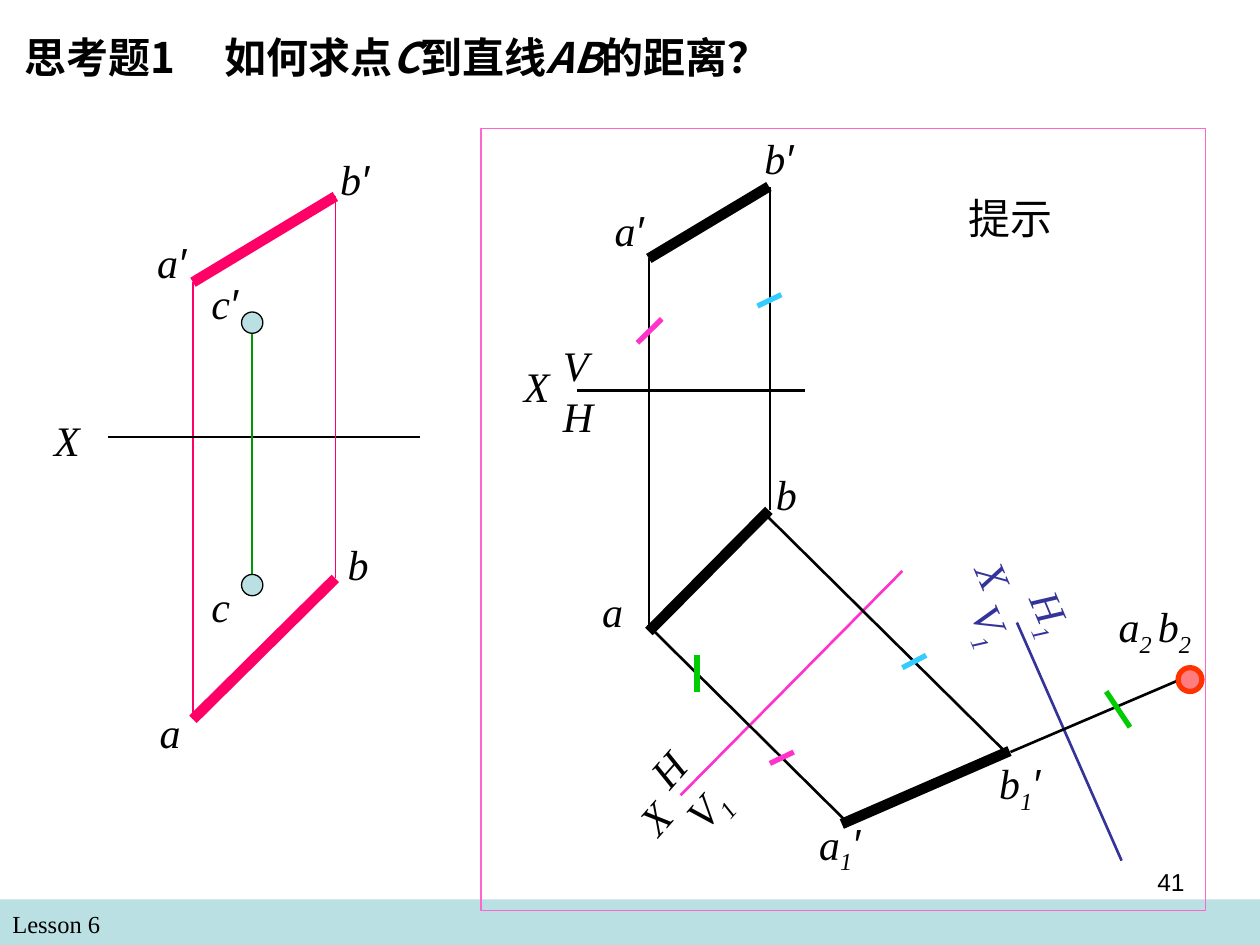
import itertools
from dataclasses import dataclass
from typing import NamedTuple, Optional

import lxml.etree
import pptx
import pptx.dml.color
import pptx.enum.shapes
import pptx.enum.text
import pptx.oxml.ns
import pptx.util

Cm = pptx.util.Cm
Pt = pptx.util.Pt
qn = pptx.oxml.ns.qn
MSO_SHAPE = pptx.enum.shapes.MSO_SHAPE


@dataclass(frozen=True)
class Theme:
    black: str = "000000"
    pale: str = "BBE0E3"
    rose: str = "FF0066"
    leaf: str = "009900"
    green: str = "00CC00"
    magenta: str = "FF33CC"
    sky: str = "33CCFF"
    navy: str = "333399"
    red: str = "FF3300"
    salmon: str = "FF7C80"
    frame: str = "FF66CC"
    serif: str = "Times New Roman"
    sans: str = "Arial"
    heading: str = "Noto Sans CJK SC"
    large: int = 24
    small: int = 14
    hair: float = 0.75
    thin: float = 1.5
    tick: float = 3
    bold: float = 6


THEME = Theme()


class Line(NamedTuple):
    x1: float
    y1: float
    x2: float
    y2: float
    color: str = THEME.black
    width: float = THEME.thin


class Shape(NamedTuple):
    kind: MSO_SHAPE
    left: float
    top: float
    width: float
    height: float
    fill: Optional[str] = None
    outline: Optional[str] = None
    outline_width: float = THEME.hair


class Label(NamedTuple):
    """Point or axis name: digits become subscripts."""
    text: str
    left: float
    top: float
    width: float = 2.3
    rotation: float = 0
    color: str = THEME.black


def rgb(color: str) -> pptx.dml.color.RGBColor:
    return pptx.dml.color.RGBColor.from_string(color)


def draw_line(slide, line: Line) -> None:
    connector = slide.shapes.add_connector(
        pptx.enum.shapes.MSO_CONNECTOR.STRAIGHT,
        Cm(line.x1), Cm(line.y1), Cm(line.x2), Cm(line.y2))
    connector.line.color.rgb = rgb(line.color)
    connector.line.width = Pt(line.width)
    lxml.etree.SubElement(connector._element.spPr, qn("a:effectLst"))


def draw_shape(slide, item: Shape) -> None:
    shape = slide.shapes.add_shape(
        item.kind, Cm(item.left), Cm(item.top), Cm(item.width), Cm(item.height))
    shape.shadow.inherit = False
    if item.fill:
        shape.fill.solid()
        shape.fill.fore_color.rgb = rgb(item.fill)
    else:
        shape.fill.background()
    if item.outline:
        shape.line.color.rgb = rgb(item.outline)
        shape.line.width = Pt(item.outline_width)
    else:
        shape.line.fill.background()


def add_box(slide, left: float, top: float, width: float, height: float):
    box = slide.shapes.add_textbox(Cm(left), Cm(top), Cm(width), Cm(height))
    box.text_frame.word_wrap = True
    return box


def style(font, name: str, size: int, color: str = THEME.black) -> None:
    font.name = name
    font.size = Pt(size)
    font.color.rgb = rgb(color)


def draw_text(slide, text: str, left: float, top: float, width: float,
              height: float, name: str, size: int):
    box = add_box(slide, left, top, width, height)
    box.text_frame.text = text
    paragraph = box.text_frame.paragraphs[0]
    style(paragraph.runs[0].font, name, size)
    return paragraph


def glyph_kind(char: str) -> str:
    if char == "′":
        return "prime"
    return "subscript" if char.isdigit() or char == " " else "letter"


def draw_label(slide, label: Label) -> None:
    has_subscript = any(char.isdigit() for char in label.text)
    box = add_box(slide, label.left, label.top, label.width,
                  1.42 if has_subscript else 1.27)
    box.rotation = label.rotation
    paragraph = box.text_frame.paragraphs[0]
    for kind, chars in itertools.groupby(label.text, glyph_kind):
        run = paragraph.add_run()
        run.text = "".join(chars)
        style(run.font, THEME.sans if kind == "prime" else THEME.serif,
              THEME.large, label.color)
        run.font.italic = True
        if kind == "subscript":
            run.font._element.set("baseline", "-25000")


def draw_title(slide) -> None:
    box = add_box(slide, 0.25, 0.51, 16.54, 1.27)
    box.text_frame.word_wrap = False
    paragraph = box.text_frame.paragraphs[0]
    tabs = lxml.etree.SubElement(paragraph._p.get_or_add_pPr(), qn("a:tabLst"))
    lxml.etree.SubElement(tabs, qn("a:tab"), pos=str(Cm(4.03)), algn="l")
    parts = ["思考题1\t如何求点", "C", "到直线", "AB", "的距离？"]
    for index, part in enumerate(parts):
        run = paragraph.add_run()
        run.text = part
        style(run.font, THEME.heading, THEME.large)
        run.font.bold = True
        run.font.italic = index % 2 == 1
        lxml.etree.SubElement(run.font._element, qn("a:ea"), typeface=THEME.heading)


T = THEME
OVAL, RECT = MSO_SHAPE.OVAL, MSO_SHAPE.RECTANGLE

HINT = [
    # Second auxiliary plane
    Line(20.5, 12.55, 22.61, 17.35, T.navy),
    Label("X", 19.33, 11.28, 1.7, 67.1, T.navy),
    Label("H1", 20.29, 11.94, 1.93, 67.1, T.navy),
    Label("V1", 19.02, 12.34, 2.21, 67.1, T.navy),
    # Given projections
    Line(13.08, 5.21, 13.08, 12.73),
    Label("a′", 12.14, 3.99),
    Label("a", 11.89, 11.68),
    Line(11.63, 7.87, 16.23, 7.87),
    Label("X", 10.31, 7.14, 1.7),
    Label("V", 11.1, 6.71, 1.22),
    Label("H", 11.1, 7.75, 1.45),
    Line(13.08, 5.21, 15.5, 3.76, width=T.bold),
    Line(13.08, 12.73, 15.5, 10.29, width=T.bold),
    Line(15.52, 10.29, 15.52, 3.76, width=T.hair),
    Label("b′", 15.16, 2.54),
    Label("b", 15.39, 9.32),
    Label("a2 b2", 22.3, 11.99, 3.4),
    Line(20.37, 15.16, 24, 13.61),
    Shape(OVAL, 23.75, 13.46, 0.48, 0.48, T.salmon, T.red, T.tick),
    # First auxiliary plane
    Line(13.72, 16.03, 18.19, 11.51, T.magenta),
    Label("X", 12.57, 15.6, 1.7, 311.3),
    Label("H", 12.83, 14.73, 1.5, 311.3),
    Label("V1", 13.46, 15.21, 2.36, 311.3),
    Line(13.06, 12.6, 17.04, 16.54),
    Label("a1′", 16.26, 16.36, 2.44, 359.4),
    Line(15.47, 10.41, 20.27, 15.16),
    Line(20.35, 15.14, 16.97, 16.61, width=T.bold),
    Label("b1′", 19.89, 15.14, 2.41, 359.4),
    # Ticks marking equal distances
    Line(16, 15.16, 15.52, 15.39, T.magenta, T.tick),
    Line(13.34, 6.43, 12.85, 6.91, T.magenta, T.tick),
    Line(15.27, 6.17, 15.75, 5.94, T.sky, T.tick),
    Line(18.19, 13.46, 18.67, 13.21, T.sky, T.tick),
    Line(14.05, 13.21, 14.05, 13.94, T.green, T.tick),
    Line(22.3, 13.94, 22.78, 14.66, T.green, T.tick),
    Shape(RECT, 9.7, 2.59, 14.6, 15.77, outline=T.frame),
]

PROBLEM = [
    Line(3.89, 5.69, 3.89, 14.5, T.rose, 1),
    Label("a′", 2.92, 4.65),
    Label("a", 2.97, 14.12),
    Line(2.18, 8.81, 8.46, 8.81),
    Label("X", 0.84, 8.23),
    Line(3.89, 5.69, 6.76, 3.96, T.rose, T.bold),
    Line(3.89, 14.5, 6.76, 11.66, T.rose, T.bold),
    Line(6.76, 11.66, 6.76, 3.96, T.rose, T.hair),
    Label("b′", 6.61, 2.97),
    Label("b", 6.76, 10.74),
    Label("c", 4.01, 11.58),
    Label("c′", 4.01, 5.46),
    Line(5.08, 11.81, 5.08, 6.5, T.leaf, T.hair),
    Shape(OVAL, 4.87, 11.58, 0.43, 0.43, T.pale, T.black),
    Shape(OVAL, 4.87, 6.29, 0.43, 0.43, T.pale, T.black),
]


def draw_all(slide, parts: list) -> None:
    painters = {Line: draw_line, Shape: draw_shape, Label: draw_label}
    for part in parts:
        painters[type(part)](slide, part)


def main() -> None:
    deck = pptx.Presentation()
    deck.slide_width, deck.slide_height = Cm(25.4), Cm(19.05)
    slide = deck.slides.add_slide(deck.slide_layouts[6])
    draw_shape(slide, Shape(RECT, 0, 18.13, 25.4, 0.92, T.pale))
    draw_text(slide, "Lesson 6", 0, 18.21, 12.27, 0.86, T.serif, T.small)
    draw_all(slide, HINT)
    draw_text(slide, "提示", 19.28, 3.76, 2.44, 1.27, T.serif, T.large)
    draw_title(slide)
    draw_all(slide, PROBLEM)
    page = draw_text(slide, "41", 18.21, 17.35, 5.92, 1.32, T.sans, T.small)
    page.alignment = pptx.enum.text.PP_ALIGN.RIGHT
    deck.save("out.pptx")


if __name__ == "__main__":
    main()
